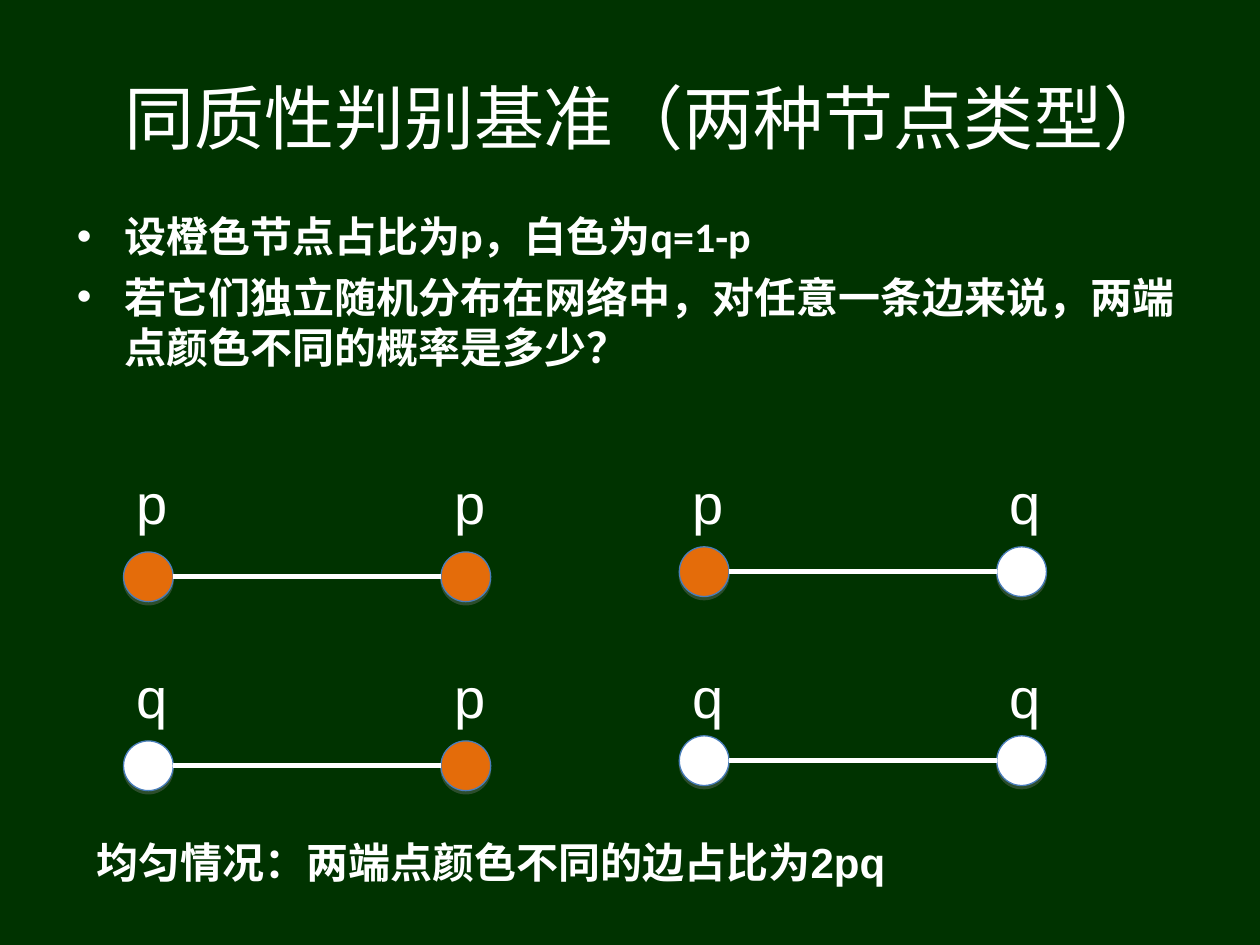
import pptx
import pptx.dml.color
import pptx.enum.shapes
import pptx.enum.text
import pptx.oxml
import pptx.oxml.ns
import pptx.util
import lxml.etree

Pt = pptx.util.Pt
RGBColor = pptx.dml.color.RGBColor
Shapes = pptx.enum.shapes
Text = pptx.enum.text

GREEN = RGBColor(0x00, 0x33, 0x00)
WHITE = RGBColor(0xFF, 0xFF, 0xFF)
ORANGE = RGBColor(0xE4, 0x6C, 0x0A)
BLUE = RGBColor(0x4A, 0x7E, 0xBB)
GREY = RGBColor(0x80, 0x80, 0x80)

NODE_SIZE = 28.4
NODE_STEP = 181.4
NODE_COLORS = {"p": ORANGE, "q": WHITE}


def add_xml(parent, tag, **attributes):
    name = pptx.oxml.ns.qn(tag)
    return lxml.etree.SubElement(parent, name, attributes)


class Slide:
    """White text and graph nodes on one dark green page."""

    def __init__(self, deck):
        self.page = deck.slides.add_slide(deck.slide_layouts[1])
        background = self.page.background.fill
        background.solid()
        background.fore_color.rgb = GREEN

    def place(self, shape, left, top, width, height):
        shape.left, shape.top = Pt(left), Pt(top)
        shape.width, shape.height = Pt(width), Pt(height)

    def style(self, para, face, size, bold=False):
        font = para.font
        font.name, font.size, font.bold = face, Pt(size), bold
        font.color.rgb = WHITE
        properties = para._p.get_or_add_pPr().find(pptx.oxml.ns.qn("a:defRPr"))
        add_xml(properties, "a:ea", typeface=face)

    def title(self, text, *bounds):
        box = self.page.shapes.title
        self.place(box, *bounds)
        frame = box.text_frame
        frame.text = text
        frame.vertical_anchor = Text.MSO_ANCHOR.MIDDLE
        para = frame.paragraphs[0]
        para.alignment = Text.PP_ALIGN.CENTER
        self.style(para, "Noto Sans CJK SC", 40)

    def bullets(self, items, *bounds):
        box = self.page.placeholders[1]
        self.place(box, *bounds)
        frame = box.text_frame
        frame.text = "\n".join(items)
        for index, para in enumerate(frame.paragraphs):
            para.space_before = Pt(6 if index else 0)
            properties = para._p.get_or_add_pPr()
            properties.set("marL", str(Pt(27)))
            properties.set("indent", str(Pt(-27)))
            color = add_xml(properties, "a:buClr")
            add_xml(color, "a:srgbClr", val=str(WHITE))
            add_xml(properties, "a:buFont", typeface="Arial")
            add_xml(properties, "a:buChar", char="•")
            self.style(para, "Calibri", 24, bold=True)

    def text(self, text, left, top, width, height, size, bold=False, wrap=True):
        box = self.page.shapes.add_textbox(Pt(left), Pt(top), Pt(width), Pt(height))
        frame = box.text_frame
        frame.word_wrap = wrap
        frame.text = text
        self.style(frame.paragraphs[0], "Arial", size, bold)

    def node(self, left, top, color):
        circle = self.page.shapes.add_shape(
            Shapes.MSO_SHAPE.OVAL, Pt(left), Pt(top), Pt(NODE_SIZE), Pt(NODE_SIZE))
        circle.fill.solid()
        circle.fill.fore_color.rgb = color
        circle.line.color.rgb = BLUE
        circle.line.width = Pt(0.75)
        # Soft grey shadow straight below
        circle.shadow.inherit = False
        effects = circle._element.spPr.find(pptx.oxml.ns.qn("a:effectLst"))
        shadow = add_xml(effects, "a:outerShdw", blurRad="0", dist=str(Pt(1.8)),
                         dir="5400000", rotWithShape="0")
        shade = add_xml(shadow, "a:srgbClr", val=str(GREY))
        add_xml(shade, "a:alpha", val="35000")

    def line(self, left, right, y):
        line = self.page.shapes.add_connector(
            Shapes.MSO_CONNECTOR.STRAIGHT, Pt(left), Pt(y), Pt(right), Pt(y))
        line.line.color.rgb = WHITE
        line.line.width = Pt(3)
        add_xml(line._element.spPr, "a:effectLst")

    def edge(self, kinds, left, top, label_top):
        """Two labelled nodes joined by a line."""
        for index, kind in enumerate(kinds):
            node_left = left + index * NODE_STEP
            self.node(node_left, top, NODE_COLORS[kind])
            self.text(kind, node_left + 0.4, label_top, 32.4, 46, 32, wrap=False)
        self.line(left + NODE_SIZE, left + NODE_STEP, top + NODE_SIZE / 2)


def main():
    deck = pptx.Presentation()
    deck.slide_width, deck.slide_height = Pt(720), Pt(540)
    slide = Slide(deck)

    # Title and question
    slide.title("同质性判别基准（两种节点类型）", 36, 21.6, 669.6, 90)
    slide.bullets(["设橙色节点占比为p，白色为q=1-p",
                   "若它们独立随机分布在网络中，对任意一条边来说，两端点颜色不同的概率是多少？"],
                  36.7, 116.6, 653, 144)

    # Four kinds of edge; the right column sits slightly higher
    rows = [(315.4, 264.2, ("pp", "pq")), (423.4, 375.1, ("qp", "qq"))]
    columns = [(70.6, 0), (388.2, -2.9)]
    for top, label_top, pairs in rows:
        for kinds, (left, shift) in zip(pairs, columns):
            slide.edge(kinds, left, top + shift, label_top)

    # Conclusion
    slide.text("均匀情况：两端点颜色不同的边占比为2pq", 48.2, 474.5, 657.4, 36, 24, bold=True)

    deck.save("out.pptx")


if __name__ == "__main__":
    main()
